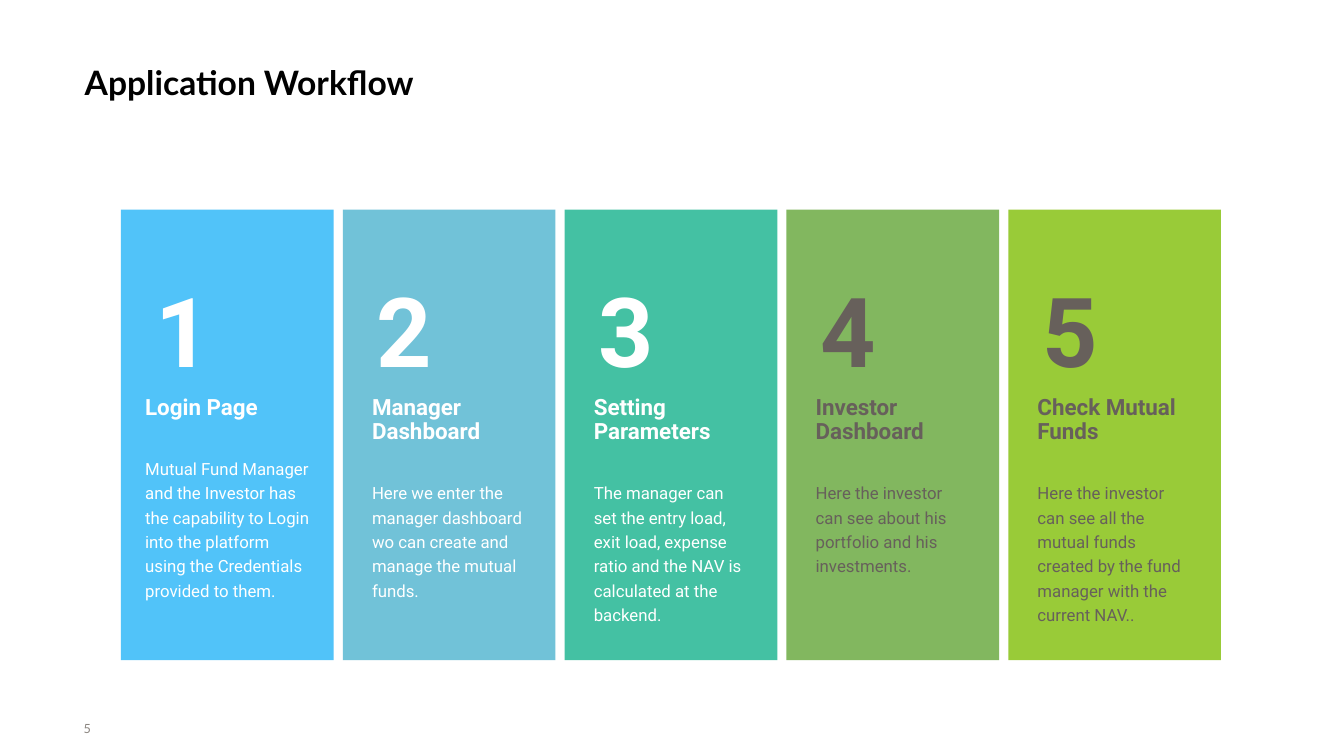
from lxml.etree import SubElement
from pptx import Presentation
from pptx.dml.color import RGBColor
from pptx.enum.shapes import MSO_SHAPE
from pptx.enum.text import MSO_ANCHOR, PP_ALIGN
from pptx.oxml.ns import qn
from pptx.util import Inches, Pt

TITLE = "Application Workflow"
PAGE = "5"
WHITE, BROWN = "FFFFFF", "67605B"
# heading, body, fill, opacity in percent, text colour
STEPS = [
    ("Login Page",
     "Mutual Fund Manager and the Investor has the capability to Login into "
     "the platform using the Credentials provided to them.",
     "51C3F9", 100, WHITE),
    ("Manager Dashboard",
     "Here we enter the manager dashboard wo can create and manage the "
     "mutual funds.",
     "4EB3CF", 80, WHITE),
    ("Setting Parameters",
     "The manager can set the entry load, exit load, expense ratio and the "
     "NAV is calculated at the backend.",
     "44C1A3", 100, WHITE),
    ("Investor Dashboard",
     "Here the investor can see about his portfolio and his investments.",
     "63A537", 80, BROWN),
    ("Check Mutual Funds",
     "Here the investor can see all the mutual funds created by the fund "
     "manager with the current NAV..",
     "99CB38", 100, BROWN),
]
LEFT, TOP, PITCH = 1.2, 2.08, 2.2
WIDTH, HEIGHT = 2.11, 4.47
PAD = 0.24


def color(code):
    return RGBColor.from_string(code)


def inches(*sizes):
    return [Inches(size) for size in sizes]


def style(para, text, face, size, code, bold=False):
    para.text = text
    para.alignment = PP_ALIGN.LEFT
    font = para.font
    font.name, font.size, font.bold = face, Pt(size), bold
    font.color.rgb = color(code)


def setup(frame, anchor, side, edge):
    """Wrap the frame, anchor its text and set its insets."""
    frame.word_wrap = True
    frame.vertical_anchor = anchor
    frame.margin_left = frame.margin_right = Inches(side)
    frame.margin_top = frame.margin_bottom = Inches(edge)


def add_text(shapes, box, anchor, side, edge):
    frame = shapes.add_textbox(*inches(*box)).text_frame
    setup(frame, anchor, side, edge)
    return frame


def add_card(slide, index, step):
    head, body, fill, alpha, ink = step
    left = LEFT + index * PITCH
    shapes = slide.shapes.add_group_shape().shapes

    card = shapes.add_shape(MSO_SHAPE.RECTANGLE,
                            *inches(left, TOP, WIDTH, HEIGHT))
    card.shadow.inherit = False
    card.line.fill.background()
    card.fill.solid()
    card.fill.fore_color.rgb = color(fill)
    if alpha < 100:
        tint = card.fill._xPr.find(".//" + qn("a:srgbClr"))
        SubElement(tint, qn("a:alpha")).set("val", str(alpha * 1000))

    number = add_text(shapes, (left + PAD, 2.63, 0.8, 1.26),
                      MSO_ANCHOR.MIDDLE, 0.1, 0.05)
    style(number.paragraphs[0], str(index + 1), "Roboto", 69, ink, True)

    # The first card has a slightly wider text column
    pad, width = (0.19, 1.77) if index == 0 else (PAD, 1.63)
    copy = add_text(shapes, (left + pad, 3.89, width, 2.39),
                    MSO_ANCHOR.TOP, 0.05, 0.03)
    style(copy.paragraphs[0], head, "Roboto", 16, ink, True)
    style(copy.add_paragraph(), body, "Roboto", 12, ink)
    for para in copy.paragraphs:
        para.line_spacing = Pt(17.5)
    copy.paragraphs[0].space_after = Pt(24.5)
    copy.paragraphs[1].space_before = Pt(0)


def main():
    deck = Presentation()
    deck.slide_width, deck.slide_height = inches(13.33, 7.5)
    slide = deck.slides.add_slide(deck.slide_layouts[5])

    title = slide.shapes.title
    title.left, title.top, title.width, title.height = inches(
        0.84, 0.12, 11.67, 0.9)
    setup(title.text_frame, MSO_ANCHOR.BOTTOM, 0, 0)
    para = title.text_frame.paragraphs[0]
    style(para, TITLE, "Lato", 24, "000000", True)
    para.line_spacing = 0.95

    for index, step in enumerate(STEPS):
        add_card(slide, index, step)

    page = add_text(slide.shapes, (0.83, 7.03, 0.4, 0.4),
                    MSO_ANCHOR.MIDDLE, 0, 0)
    style(page.paragraphs[0], PAGE, "Lato", 9, "8B8580")
    deck.save("out.pptx")


if __name__ == "__main__":
    main()
